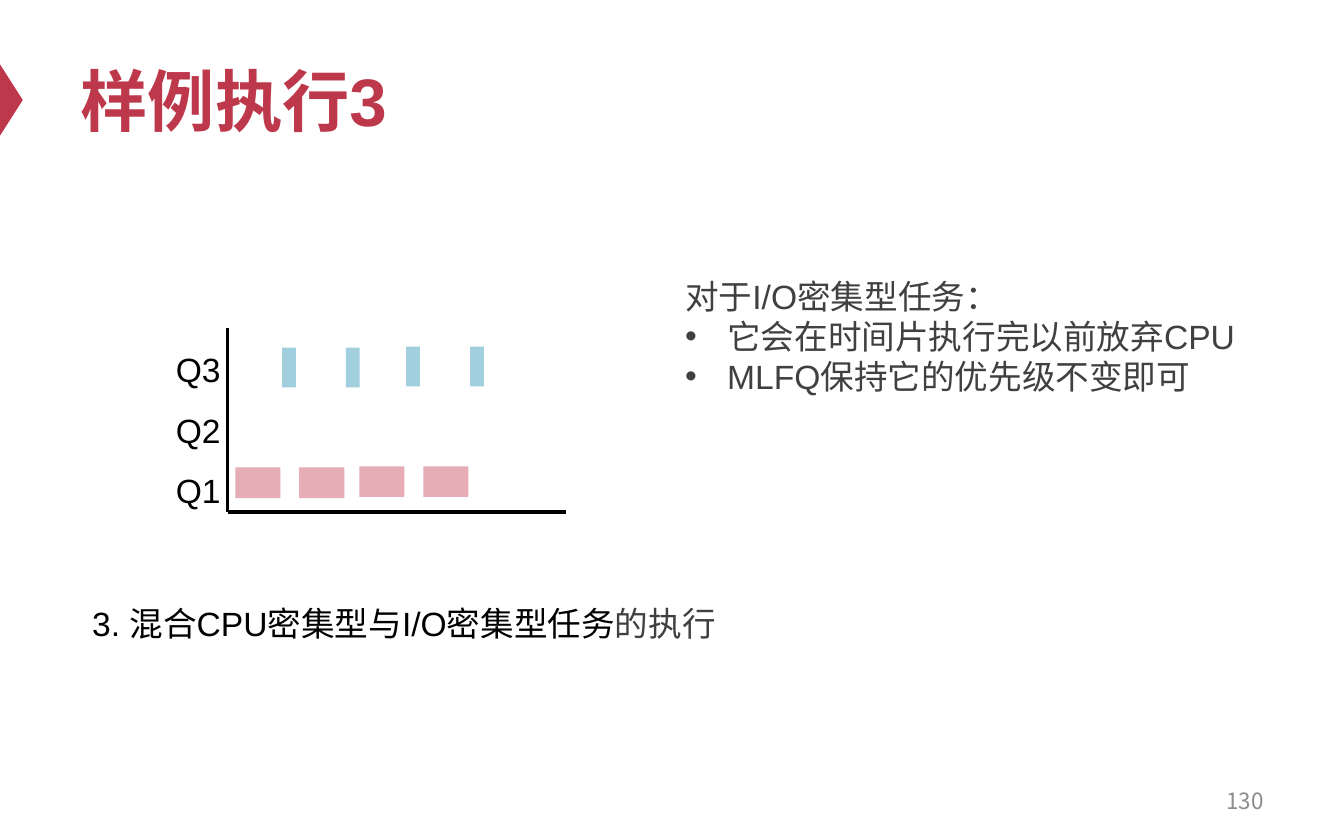
import pptx
import pptx.dml.color
import pptx.enum.shapes
import pptx.enum.text
import pptx.oxml
import pptx.oxml.ns
import pptx.util

Pt = pptx.util.Pt
RGBColor = pptx.dml.color.RGBColor
MSO_SHAPE = pptx.enum.shapes.MSO_SHAPE
PP_ALIGN = pptx.enum.text.PP_ALIGN
MSO_ANCHOR = pptx.enum.text.MSO_ANCHOR
MSO_AUTO_SIZE = pptx.enum.text.MSO_AUTO_SIZE
qn = pptx.oxml.ns.qn

RED = RGBColor(0xBE, 0x38, 0x4B)
PINK = RGBColor(0xE7, 0xAD, 0xB6)
BLUE = RGBColor(0xA1, 0xCF, 0xDE)
BLACK = RGBColor(0, 0, 0)
DARK = RGBColor(0x40, 0x40, 0x40)
GRAY = RGBColor(0x8C, 0x8C, 0x8C)


def add_sub(parent, tag, **attrs):
    """Append a drawing element such as a:buChar with its attributes."""
    el = pptx.oxml.parse_xml(f"<{tag} {pptx.oxml.ns.nsdecls('a')}/>")
    for name, value in attrs.items():
        el.set(name, value)
    parent.append(el)


class SlideBuilder:
    latin = "Arial"
    east_asian = "Noto Sans CJK SC"
    size = 18
    indent = 22.5

    def __init__(self, s):
        self.s = s

    def run(self, p, text, color, **font):
        r = p.add_run()
        r.text = text
        values = {"name": self.latin, "size": Pt(self.size), "bold": False} | font
        for name, value in values.items():
            setattr(r.font, name, value)
        r.font.color.rgb = color
        add_sub(r.font._element, "a:ea", typeface=self.east_asian)

    def title(self, text, x, y, w, h):
        sp = self.s.shapes.title
        sp.left, sp.top, sp.width, sp.height = Pt(x), Pt(y), Pt(w), Pt(h)
        tf = sp.text_frame
        tf.auto_size = MSO_AUTO_SIZE.NONE
        tf.vertical_anchor = MSO_ANCHOR.MIDDLE
        p = tf.paragraphs[0]
        p.alignment = PP_ALIGN.LEFT
        self.run(p, text, RED, size=Pt(36), bold=True)

    def text(self, x, y, w, h, paragraphs, bullets=(), anchor=MSO_ANCHOR.TOP,
             fit=MSO_AUTO_SIZE.NONE, font=None, **fmt):
        """Add a box; each paragraph is a list of (text, colour) runs."""
        tf = self.s.shapes.add_textbox(Pt(x), Pt(y), Pt(w), Pt(h)).text_frame
        tf.word_wrap = True
        tf.vertical_anchor = anchor
        tf.auto_size = fit
        for i, runs in enumerate(paragraphs):
            p = tf.add_paragraph() if i else tf.paragraphs[0]
            for name, value in fmt.items():
                setattr(p, name, value)
            if i in bullets:
                pPr = p._p.get_or_add_pPr()
                pPr.set("marL", str(Pt(self.indent)))
                pPr.set("indent", str(-Pt(self.indent)))
                add_sub(pPr, "a:buFont", typeface=self.latin)
                add_sub(pPr, "a:buChar", char="•")
            for text, color in runs:
                self.run(p, text, color, **(font or {}))

    def shape(self, kind, x, y, w, h, color, rotation=0):
        sp = self.s.shapes.add_shape(kind, Pt(x), Pt(y), Pt(w), Pt(h))
        sp.shadow.inherit = False
        sp.rotation = rotation
        sp.fill.solid()
        sp.fill.fore_color.rgb = color
        sp.line.fill.background()

    def line(self, x1, y1, x2, y2):
        c = self.s.shapes.add_connector(
            pptx.enum.shapes.MSO_CONNECTOR.STRAIGHT, Pt(x1), Pt(y1), Pt(x2), Pt(y2))
        c.line.color.rgb = BLACK
        c.line.width = Pt(2)
        add_sub(c._element.find(qn("p:spPr")), "a:effectLst")


def main():
    prs = pptx.Presentation()
    prs.slide_width, prs.slide_height = Pt(720), Pt(450)
    b = SlideBuilder(prs.slides.add_slide(prs.slide_layouts[5]))
    grow = MSO_AUTO_SIZE.SHAPE_TO_FIT_TEXT

    b.shape(MSO_SHAPE.ISOSCELES_TRIANGLE, -13, 47.5, 38.2, 12.2, RED, rotation=90)
    b.title("样例执行3", 36, 18, 648, 70.6)
    b.text(516.2, 416.9, 167.8, 23.8, [[("130", GRAY)]], anchor=MSO_ANCHOR.MIDDLE,
           font={"name": b.east_asian, "size": Pt(12)}, alignment=PP_ALIGN.RIGHT)
    b.text(11.5, 315.4, 409.7, 50.4,
           [[("3. 混合CPU密集型与I/O密集型任务", BLACK), ("的执行", DARK)]],
           alignment=PP_ALIGN.CENTER, line_spacing=1.2)
    notes = ["对于I/O密集型任务：", "它会在时间片执行完以前放弃CPU", "MLFQ保持它的优先级不变即可"]
    b.text(360, 144, 325.4, 72.7, [[(t, DARK)] for t in notes], bullets=(1, 2), fit=grow)

    b.text(87.1, 172.8, 43.2, 101.5, [[(q, BLACK)] for q in ("Q3", "Q2", "Q1")],
           fit=grow, line_spacing=1.5)
    axis_x, axis_y = 121.9, 274.3
    b.line(axis_x, 175.7, axis_x, axis_y)
    b.line(axis_x, axis_y, 303.1, axis_y)

    # Each CPU slice in Q1 is followed by a short I/O slice in Q3.
    for i, x in enumerate((126.1, 160.3, 192.5, 226.8)):
        lift = 0.6 * (i // 2)
        b.shape(MSO_SHAPE.RECTANGLE, x + 25, 186.3 - lift, 7.4, 21.3, BLUE)
        b.shape(MSO_SHAPE.RECTANGLE, x, 250.4 - lift, 24.2, 16.4, PINK)

    prs.save("out.pptx")


if __name__ == "__main__":
    main()
